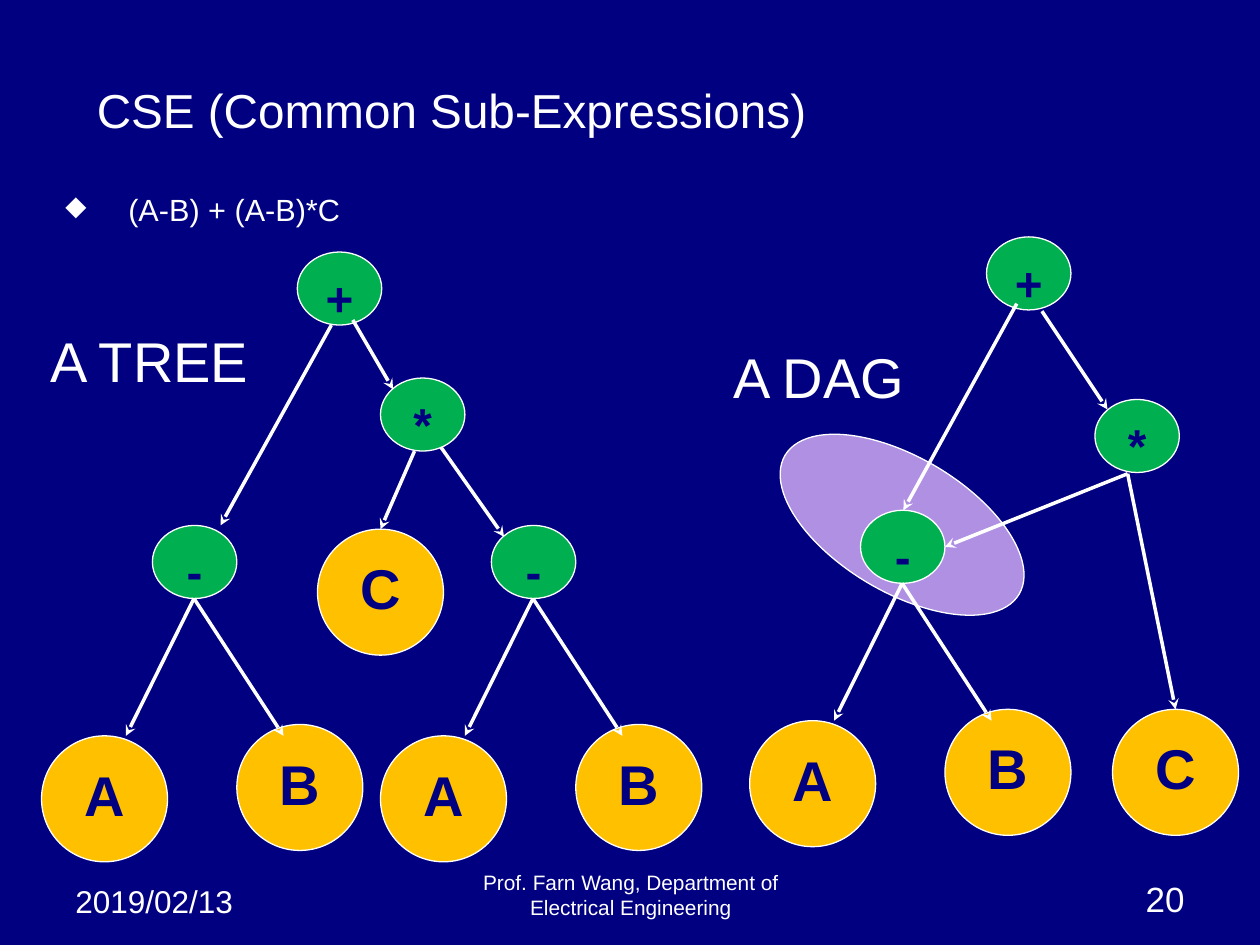
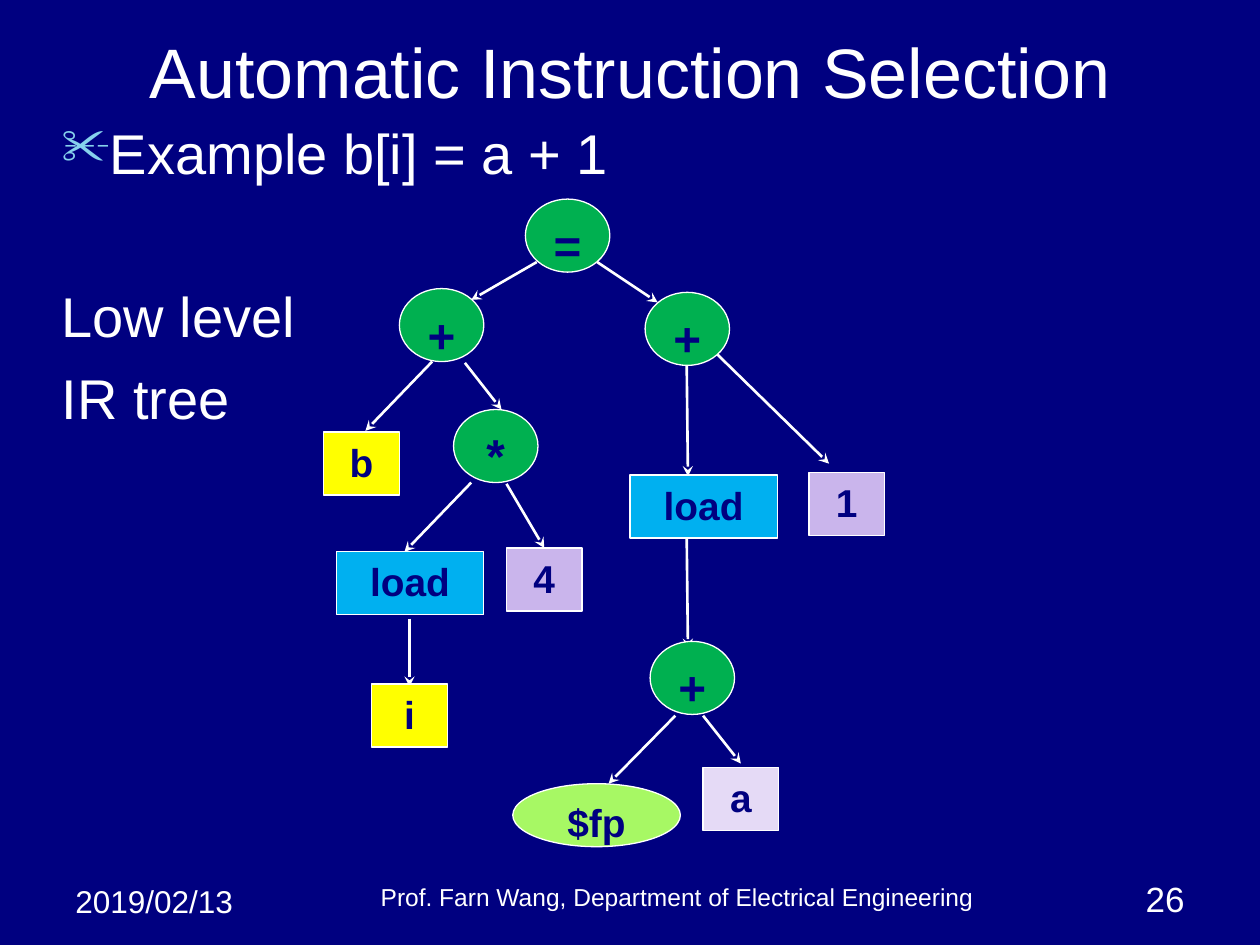
"""Build two slides on expression trees: shared sub-expressions and instruction selection."""
from lxml.etree import SubElement
from pptx import Presentation
from pptx.dml.color import RGBColor
from pptx.enum.shapes import MSO_CONNECTOR, MSO_SHAPE
from pptx.enum.text import MSO_ANCHOR, PP_ALIGN
from pptx.oxml.ns import qn
from pptx.util import Inches, Pt

FONT = "Arial"
NAVY, WHITE = "000080", "FFFFFF"
LEFT, MID, RIGHT = PP_ALIGN.LEFT, PP_ALIGN.CENTER, PP_ALIGN.RIGHT
TOP, CORE, BASE = MSO_ANCHOR.TOP, MSO_ANCHOR.MIDDLE, MSO_ANCHOR.BOTTOM
OVAL, BOX = MSO_SHAPE.OVAL, MSO_SHAPE.RECTANGLE

DATE = "2019/02/13"
PROF = "Prof. Farn Wang, Department of Electrical Engineering"

KINDS = {
    "op": (OVAL, 0.67, 0.58, "00B050", 27.2),
    "leaf": (OVAL, 1, 1, "FFC000", 32),
    "name": (BOX, 0.6, 0.5, "FFFF00", 22.2),
    "num": (BOX, 0.6, 0.5, "CAB5EC", 22.2),
    "var": (BOX, 0.6, 0.5, "E5DAF6", 22.2),
    "load": (BOX, 1.17, 0.5, "00B0F0", 22.2),
    "reg": (OVAL, 1.33, 0.5, "A7F864", 22.2),
}

MINUS = [(1.21, 4.17), (3.9, 4.17), (6.83, 4.05)]
FAN_NODES = [("leaf", "A", -0.88, 1.67), ("leaf", "B", 0.67, 1.58), ("op", "-", 0, 0)]
FAN_EDGES = [(0.33, 0.58, -0.21, 1.67), (0.33, 0.58, 1.04, 1.67)]

CSE_NODES = [
    ("op", "+", 2.36, 2), ("op", "*", 3.02, 3), ("leaf", "C", 2.52, 4.2),
    ("op", "+", 7.83, 1.88), ("op", "*", 8.69, 3.17), ("leaf", "C", 8.83, 5.63),
]
CSE_EDGES = [
    (2.63, 2.58, 1.75, 4.17), (2.8, 2.54, 3.12, 3.09),
    (3.29, 3.58, 3.02, 4.2), (3.5, 3.55, 4, 4.26),
    (8.07, 2.41, 7.17, 4.05), (8.27, 2.47, 8.79, 3.25),
    (8.95, 3.76, 7.5, 4.34), (8.95, 3.76, 9.33, 5.63),
]
IR_NODES = [
    ("op", "=", 4.17, 1.58), ("op", "+", 3.17, 2.29), ("op", "+", 5.12, 2.32),
    ("name", "b", 2.57, 3.43), ("op", "*", 3.6, 3.25), ("load", "load", 2.67, 4.38),
    ("num", "4", 4.02, 4.35), ("name", "i", 2.95, 5.43), ("load", "load", 5, 3.77),
    ("num", "1", 6.42, 3.75), ("op", "+", 5.16, 5.09), ("var", "a", 5.58, 6.09),
    ("reg", "$fp", 4.07, 6.22),
]
IR_EDGES = [
    (4.26, 2.08, 3.74, 2.38), (4.74, 2.08, 5.22, 2.4),
    (3.43, 2.87, 2.9, 3.42), (3.69, 2.88, 3.98, 3.25),
    (3.74, 3.83, 3.21, 4.38), (4.02, 3.84, 4.32, 4.35),
    (3.25, 4.91, 3.25, 5.45), (5.45, 2.9, 5.46, 3.78),
    (5.68, 2.8, 6.58, 3.68), (5.45, 4.27, 5.46, 5.15),
    (5.36, 5.68, 4.83, 6.22), (5.58, 5.68, 5.88, 6.06),
]


def hue(code):
    return RGBColor.from_string(code)


def write(para, text, size, color=WHITE, align=LEFT, bold=False):
    para.alignment = align
    run = para.add_run()
    run.text = text
    font = run.font
    font.name, font.size, font.bold = FONT, Pt(size), bold
    font.color.rgb = hue(color)


def label(slide, at, text, size, align=LEFT, anchor=TOP):
    frame = slide.shapes.add_textbox(*map(Inches, at)).text_frame
    frame.word_wrap = True
    frame.vertical_anchor = anchor
    write(frame.paragraphs[0], text, size, align=align)
    return frame


def bullet(para, sign, color, indent):
    props = para._p.get_or_add_pPr()
    props.set("marL", str(Inches(indent)))
    props.set("indent", str(-Inches(indent)))
    tint = SubElement(props, qn("a:buClr"))
    SubElement(tint, qn("a:srgbClr"), val=color)
    SubElement(props, qn("a:buSzPct"), val="90000")
    SubElement(props, qn("a:buChar"), char=sign)


def solid(slide, form, at, color):
    shape = slide.shapes.add_shape(form, *map(Inches, at))
    shape.shadow.inherit = False
    shape.fill.solid()
    shape.fill.fore_color.rgb = hue(color)
    shape.line.color.rgb = hue(WHITE)
    shape.line.width = Pt(0.75)
    return shape


def node(slide, kind, text, x, y):
    form, wide, high, color, size = KINDS[kind]
    frame = solid(slide, form, (x, y, wide, high), color).text_frame
    frame.word_wrap = True
    frame.vertical_anchor = TOP
    write(frame.paragraphs[0], text, size, NAVY, MID, True)


def arrow(slide, ends, width):
    link = slide.shapes.add_connector(MSO_CONNECTOR.STRAIGHT, *map(Inches, ends))
    link.line.color.rgb = hue(WHITE)
    link.line.width = Pt(width)
    props = link._element.spPr
    SubElement(props.find(qn("a:ln")), qn("a:tailEnd"), type="stealth")
    SubElement(props, qn("a:effectLst"))


def start(deck, number, foot, size):
    slide = deck.slides.add_slide(deck.slide_layouts[6])
    slide.background.fill.solid()
    slide.background.fill.fore_color.rgb = hue(NAVY)
    label(slide, (0.5, 6.95, 1.58, 0.4), DATE, 18)
    label(slide, foot, PROF, size, MID, BASE)
    label(slide, (7.17, 6.83, 2.33, 0.52), number, 20, RIGHT, BASE)
    return slide


def common(deck):
    slide = start(deck, "20", (3.42, 6.83, 3.17, 0.52), 11.9)
    label(slide, (0.67, 0.58, 8.5, 0.58), "CSE (Common Sub-Expressions)", 27.2, anchor=CORE)
    rule = label(slide, (0.42, 1.42, 9.08, 0.48), "(A-B) + (A-B)*C", 17.5, anchor=CORE)
    bullet(rule.paragraphs[0], "◆", WHITE, 0.5)
    solid(slide, OVAL, (6.08, 3.63, 2.16, 1.07), "B090E3").rotation = 30.7
    for x, y in MINUS:
        for kind, text, right, down in FAN_NODES:
            node(slide, kind, text, x + right, y + down)
        for x1, y1, x2, y2 in FAN_EDGES:
            arrow(slide, (x + x1, y + y1, x + x2, y + y2), 2)
    for item in CSE_NODES:
        node(slide, *item)
    for ends in CSE_EDGES:
        arrow(slide, ends, 2)
    label(slide, (0.3, 2.54, 2, 0.64), "A TREE", 32)
    label(slide, (5.72, 2.67, 1.8, 0.64), "A DAG", 32)


def select(deck):
    slide = start(deck, "26", (2, 6.95, 6.75, 0.33), 14)
    label(slide, (0.5, 0.17, 9, 0.78), "Automatic Instruction Selection", 40, MID, CORE)
    body = label(slide, (0.39, 0.89, 9.42, 6.08), "Example b[i] = a + 1", 32)
    bullet(body.paragraphs[0], "✂", "86D1EC", 0.38)
    for text, gap in [("Low level", 55), ("IR tree", 8)]:
        para = body.add_paragraph()
        para.space_before = Pt(gap)
        write(para, text, 32)
    for ends in IR_EDGES:
        arrow(slide, ends, 1.5)
    for item in IR_NODES:
        node(slide, *item)


def main():
    deck = Presentation()
    deck.slide_width, deck.slide_height = Inches(10), Inches(7.5)
    common(deck)
    select(deck)
    deck.save("out.pptx")


if __name__ == "__main__":
    main()
